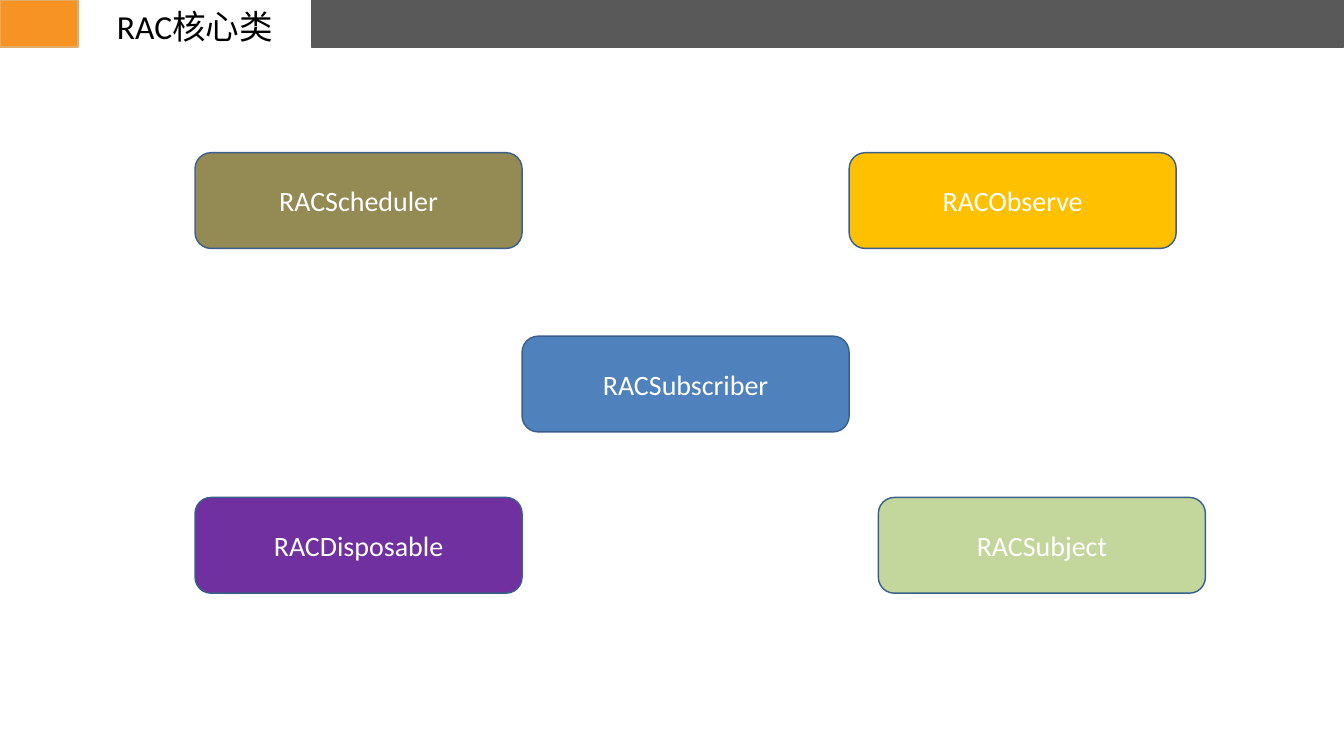
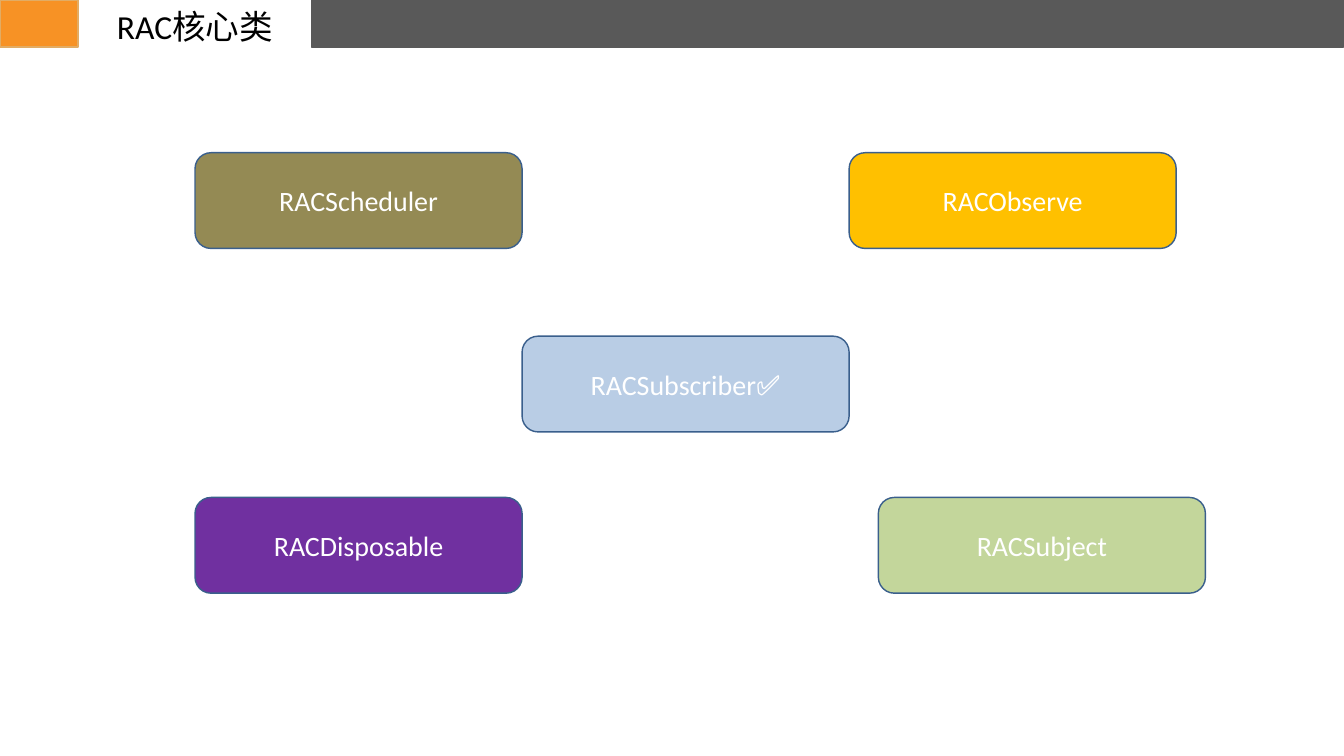
"""Build two slides that show the RAC core classes as coloured cards."""
from dataclasses import dataclass

from pptx import Presentation
from pptx import util as u
from pptx.dml.color import RGBColor
from pptx.enum import shapes, text


@dataclass(frozen=True)
class Theme:
    font: str = "Calibri"
    title_size: int = 48
    card_size: int = 40
    line_width: int = 2
    black: str = "000000"
    white: str = "FFFFFF"
    grey: str = "595959"
    orange: str = "F79225"
    orange_edge: str = "E2AC64"
    card_edge: str = "3A5F8C"
    olive: str = "948A54"
    blue: str = "4F81BD"
    pale_blue: str = "B9CDE5"
    purple: str = "7030A0"
    gold: str = "FFC000"
    green: str = "C3D69B"


theme = Theme()


def add_block(page, kind, place, fill, edge):
    block = page.shapes.add_shape(kind, *map(u.Inches, place))
    block.shadow.inherit = False
    block.fill.solid()
    block.fill.fore_color.rgb = RGBColor.from_string(fill)
    block.line.color.rgb = RGBColor.from_string(edge)
    block.line.width = u.Pt(theme.line_width)
    return block


def write(box, words, size, color):
    frame = box.text_frame
    frame_format = {"word_wrap": True, "vertical_anchor": text.MSO_ANCHOR.MIDDLE}
    for name, value in frame_format.items():
        setattr(frame, name, value)
    para = frame.paragraphs[0]
    para.alignment = text.PP_ALIGN.CENTER
    span = para.add_run()
    span.text = words
    for name, value in {"name": theme.font, "size": u.Pt(size)}.items():
        setattr(span.font, name, value)
    span.font.color.rgb = RGBColor.from_string(color)


deck = Presentation()
deck.slide_width, deck.slide_height = u.Inches(26.67), u.Inches(15)

band_height = 0.93
bands = [
    ((6.18, 0, 20.48, band_height), theme.grey, theme.grey),
    ((0, 0, 1.55, band_height), theme.orange, theme.orange_edge),
]

card_width, card_height = 6.49, 1.9
left, top, middle, bottom = 3.87, 3.03, 6.67, 9.87
center, right = left + card_width, left + 2 * card_width
subject_left = 17.43

subscriber_states = [
    ("RACSubscriber", theme.blue),
    ("RACSubscriber✅", theme.pale_blue),
]

for subscriber, subscriber_fill in subscriber_states:
    page = deck.slides.add_slide(deck.slide_layouts[6])
    for place, fill, edge in bands:
        add_block(page, shapes.MSO_SHAPE.RECTANGLE, place, fill, edge)

    title = page.shapes.add_textbox(*map(u.Inches, (1.56, 0.06, 4.62, 0.91)))
    write(title, "RAC核心类", theme.title_size, theme.black)
    title.text_frame.auto_size = text.MSO_AUTO_SIZE.SHAPE_TO_FIT_TEXT

    cards = [
        ("RACScheduler", left, top, theme.olive),
        (subscriber, center, middle, subscriber_fill),
        ("RACDisposable", left, bottom, theme.purple),
        ("RACObserve", right, top, theme.gold),
        ("RACSubject", subject_left, bottom, theme.green),
    ]
    for words, x, y, fill in cards:
        place = (x, y, card_width, card_height)
        card = add_block(page, shapes.MSO_SHAPE.ROUNDED_RECTANGLE, place, fill, theme.card_edge)
        write(card, words, theme.card_size, theme.white)

deck.save("out.pptx")
